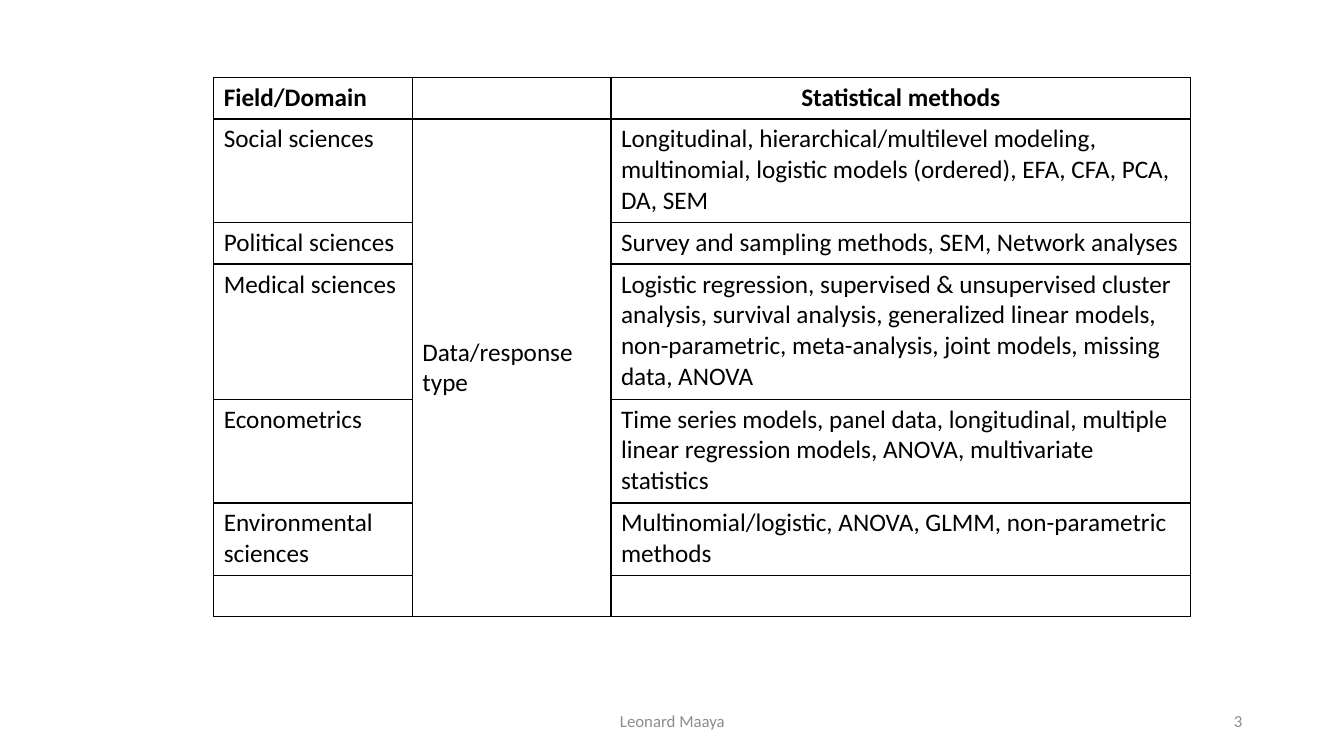
from dataclasses import dataclass

from lxml import etree
from pptx import Presentation
from pptx.dml.color import RGBColor
from pptx.enum.text import MSO_ANCHOR, PP_ALIGN
from pptx.oxml.ns import qn
from pptx.util import Inches, Pt

LEFT, CENTER, RIGHT = PP_ALIGN.LEFT, PP_ALIGN.CENTER, PP_ALIGN.RIGHT
TOP, MIDDLE = MSO_ANCHOR.TOP, MSO_ANCHOR.MIDDLE


@dataclass(frozen=True)
class Theme:
    font: str = "Calibri"
    ink: str = "000000"
    muted: str = "8C8C8C"
    table_size: int = 18
    footer_size: int = 12
    border_width: int = 1


THEME = Theme()
COLUMN_WIDTHS = (1.97, 1.97, 5.75)
CELL_PADDING = 0.1
LINE_HEIGHT = 0.31
HEADERS = ("Field/Domain", "", "Statistical methods")
SHARED_TYPE = "Data/response type"
# Field, statistical methods, number of text lines
FIELDS = (
    ("Social sciences",
     "Longitudinal, hierarchical/multilevel modeling, multinomial, "
     "logistic models (ordered), EFA, CFA, PCA, DA, SEM", 3),
    ("Political sciences",
     "Survey and sampling methods, SEM, Network analyses", 1),
    ("Medical sciences",
     "Logistic regression, supervised & unsupervised cluster analysis, "
     "survival analysis, generalized linear models, non-parametric, "
     "meta-analysis, joint models, missing data, ANOVA", 4),
    ("Econometrics",
     "Time series models, panel data, longitudinal, multiple linear "
     "regression models, ANOVA, multivariate statistics", 3),
    ("Environmental sciences",
     "Multinomial/logistic, ANOVA, GLMM, non-parametric methods", 2),
    ("", "", 1),
)


def write(text_frame, text, size, color, alignment=LEFT, bold=False):
    paragraph = text_frame.paragraphs[0]
    paragraph.text = text
    paragraph.alignment = alignment
    paragraph.font.name = THEME.font
    paragraph.font.size = Pt(size)
    paragraph.font.bold = bold
    paragraph.font.color.rgb = RGBColor.from_string(color)


def add_borders(cell):
    """Put a solid line on all four sides; call before setting the fill."""
    properties = cell._tc.get_or_add_tcPr()
    for side in ("a:lnL", "a:lnR", "a:lnT", "a:lnB"):
        line = etree.SubElement(properties, qn(side),
                                w=str(Pt(THEME.border_width)))
        fill = etree.SubElement(line, qn("a:solidFill"))
        etree.SubElement(fill, qn("a:srgbClr"), val=THEME.ink)


def fill_cell(cell, text, alignment=LEFT, bold=False, anchor=TOP):
    write(cell.text_frame, text, THEME.table_size, THEME.ink, alignment, bold)
    cell.vertical_anchor = anchor


def add_methods_table(slide, left, top):
    line_counts = [1] + [lines for _, _, lines in FIELDS]
    heights = [CELL_PADDING + LINE_HEIGHT * lines for lines in line_counts]
    table = slide.shapes.add_table(
        len(heights), len(COLUMN_WIDTHS), Inches(left), Inches(top),
        Inches(sum(COLUMN_WIDTHS)), Inches(sum(heights))).table
    table.first_row = table.horz_banding = False
    for column, width in zip(table.columns, COLUMN_WIDTHS):
        column.width = Inches(width)
    for row, height in zip(table.rows, heights):
        row.height = Inches(height)
    for cell in table.iter_cells():
        add_borders(cell)
        cell.fill.background()

    for index, header in enumerate(HEADERS):
        alignment = CENTER if index == len(HEADERS) - 1 else LEFT
        fill_cell(table.cell(0, index), header, alignment, bold=True)
    for index, (field, methods, _) in enumerate(FIELDS, start=1):
        fill_cell(table.cell(index, 0), field)
        fill_cell(table.cell(index, 2), methods)
    shared_cell = table.cell(1, 1)
    shared_cell.merge(table.cell(len(FIELDS), 1))
    fill_cell(shared_cell, SHARED_TYPE, anchor=MIDDLE)


def add_footer_text(slide, left, top, width, height, text, alignment):
    box = slide.shapes.add_textbox(
        Inches(left), Inches(top), Inches(width), Inches(height))
    box.text_frame.word_wrap = True
    box.text_frame.vertical_anchor = MIDDLE
    write(box.text_frame, text, THEME.footer_size, THEME.muted, alignment)


def main():
    presentation = Presentation()
    presentation.slide_width = Inches(13.33)
    presentation.slide_height = Inches(7.5)
    slide = presentation.slides.add_slide(presentation.slide_layouts[6])
    add_footer_text(slide, 4.42, 6.95, 4.5, 0.4, "Leonard Maaya", CENTER)
    add_footer_text(slide, 9.42, 6.95, 3, 0.4, "3", RIGHT)
    add_methods_table(slide, 2.12, 0.77)
    presentation.save("out.pptx")


if __name__ == "__main__":
    main()
